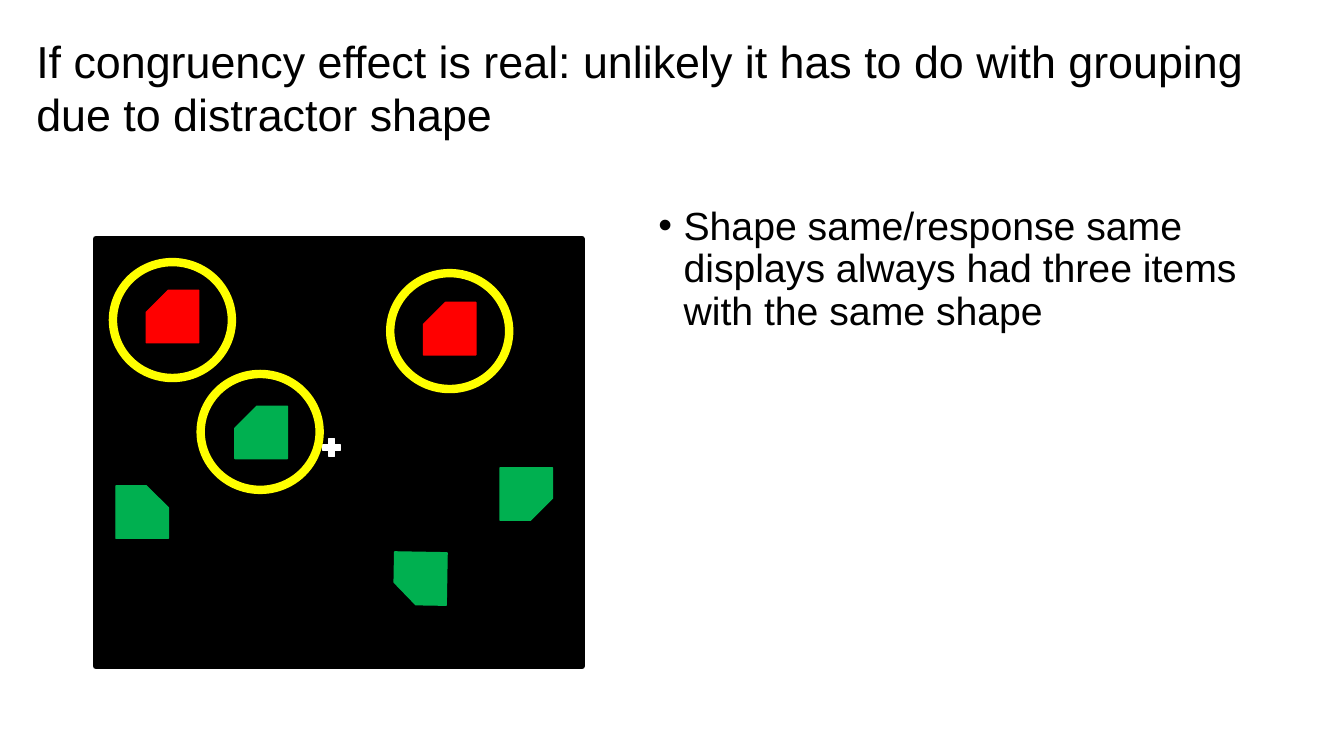
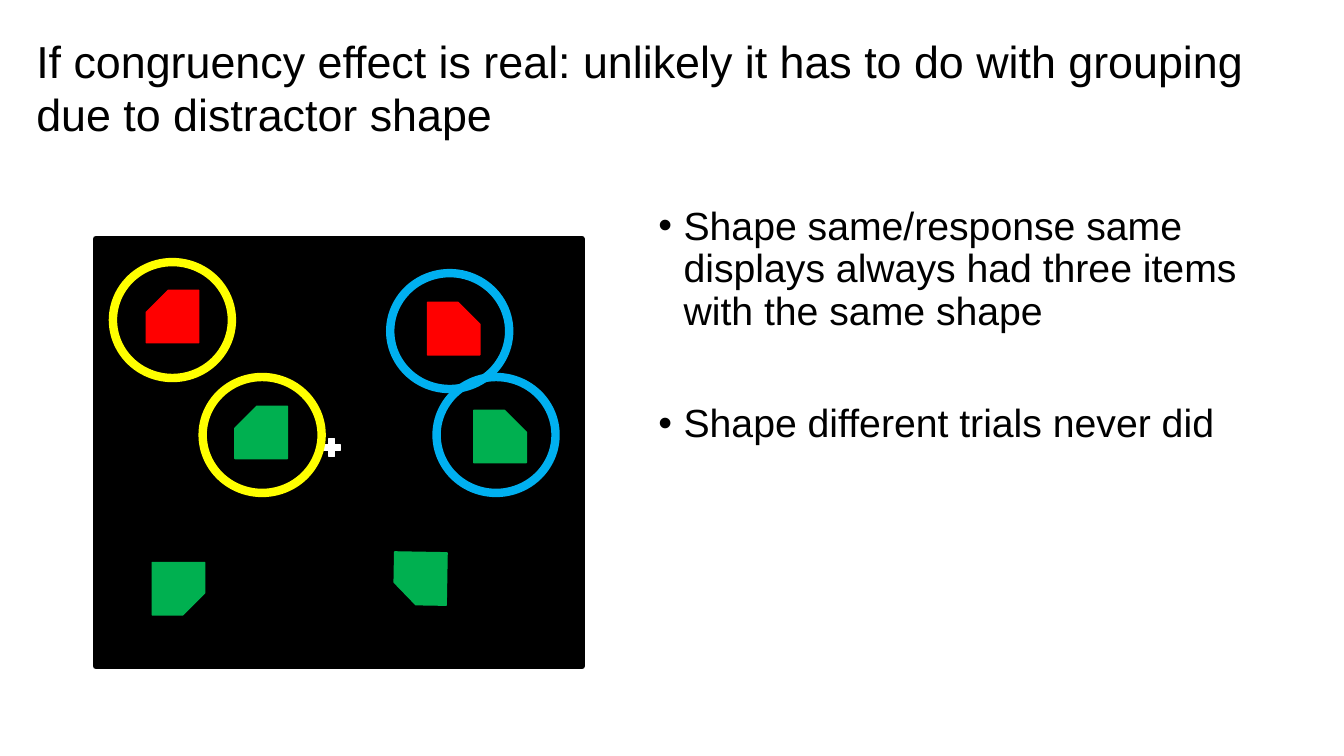
import pptx
import pptx.dml.color
import pptx.enum.shapes
import pptx.enum.text
import pptx.oxml.ns
import pptx.util
from lxml import etree

PX = 9144  # EMU per px, 100 px to the inch
FONT = "Arial"
BLACK, WHITE, RED, GREEN = "000000", "FFFFFF", "FF0000", "00B050"
YELLOW, BLUE = "FFFF00", "00B0F0"
PRESET = pptx.enum.shapes.MSO_SHAPE

TITLE_BOX = (26, 28, 1260, 118)
BODY_BOX = (643, 200, 599, 476)
DISPLAY_BOX = (95, 237, 482, 424)
ITEM_SIZE, CUT_RATIO = 52, 0.42
RING_WIDTH, RING_HEIGHT = 118, 115

# Rotation that brings the cut corner to its place
TOP_LEFT, TOP_RIGHT, BOTTOM_RIGHT, BOTTOM_LEFT = 270, 0, 90, 181

TITLE = ("If congruency effect is real: unlikely it has to do with grouping "
         "due to distractor shape")
SAME_POINT = ("Shape same/response same displays always had three items "
              "with the same shape")
DIFFERENT_POINT = "Shape different trials never did"

# Each item: left, top (within the display), colour, cut corner
SHARED_ITEMS = [(50, 51, RED, TOP_LEFT), (138, 166, GREEN, TOP_LEFT),
                (296, 311, GREEN, BOTTOM_LEFT)]
SAME_ITEMS = SHARED_ITEMS + [(20, 245, GREEN, TOP_RIGHT),
                             (401, 227, GREEN, BOTTOM_RIGHT),
                             (325, 63, RED, TOP_LEFT)]
DIFFERENT_ITEMS = SHARED_ITEMS + [(375, 170, GREEN, TOP_RIGHT),
                                  (56, 321, GREEN, BOTTOM_RIGHT),
                                  (329, 63, RED, TOP_RIGHT)]

# Each ring: left, top (within the display), colour
SAME_RINGS = [(17, 23, YELLOW), (292, 34, YELLOW), (104, 134, YELLOW)]
DIFFERENT_RINGS = [(17, 23, YELLOW), (292, 34, BLUE),
                   (106, 137, YELLOW), (338, 137, BLUE)]


def rgb(color):
    return pptx.dml.color.RGBColor.from_string(color)


def emu(box):
    return [pptx.util.Emu(length * PX) for length in box]


def add_figure(slide, preset, box, fill, line, weight=1):
    figure = slide.shapes.add_shape(preset, *emu(box))
    figure.shadow.inherit = False
    if fill:
        figure.fill.solid()
        figure.fill.fore_color.rgb = rgb(fill)
    else:
        figure.fill.background()
    figure.line.color.rgb = rgb(line)
    figure.line.width = pptx.util.Pt(weight)
    return figure


def prepare_placeholder(placeholder, box):
    placeholder.left, placeholder.top, placeholder.width, placeholder.height = emu(box)
    frame = placeholder.text_frame
    frame.word_wrap = True
    frame.auto_size = pptx.enum.text.MSO_AUTO_SIZE.NONE
    frame.vertical_anchor = pptx.enum.text.MSO_ANCHOR.TOP
    return frame


def write(paragraph, text, size, line_spacing, space_before=0):
    paragraph.alignment = pptx.enum.text.PP_ALIGN.LEFT
    paragraph.line_spacing = line_spacing
    paragraph.space_before = pptx.util.Pt(space_before)
    run = paragraph.add_run()
    run.text = text
    run.font.name = FONT
    run.font.size = pptx.util.Pt(size)
    run.font.color.rgb = rgb(BLACK)


def add_bullet(paragraph, indent=25):
    properties = paragraph._p.get_or_add_pPr()
    properties.set("marL", str(indent * PX))
    properties.set("indent", str(-indent * PX))
    for tag, key, value in (("a:buFont", "typeface", FONT), ("a:buChar", "char", "•")):
        etree.SubElement(properties, pptx.oxml.ns.qn(tag)).set(key, value)


def fill_title(slide, box):
    frame = prepare_placeholder(slide.shapes.title, box)
    write(frame.paragraphs[0], TITLE, 32, 1.0)


def fill_points(slide, box, points):
    frame = prepare_placeholder(slide.placeholders[1], box)
    for index, point in enumerate(points):
        paragraph = frame.add_paragraph() if index else frame.paragraphs[0]
        add_bullet(paragraph)
        write(paragraph, point, 28, 0.9, 50 if index else 0)


def draw_display(slide, box, items, rings):
    left, top, width, height = box
    add_figure(slide, PRESET.RECTANGLE, box, BLACK, BLACK, 4.5)

    # Fixation cross
    cross = add_figure(slide, PRESET.CROSS, (left + 225, top + 198, 18, 18), WHITE, WHITE)
    cross.adjustments[0] = 0.36

    # Search items, each a square with one corner cut
    for x, y, color, cut_corner in items:
        item = add_figure(slide, PRESET.SNIP_1_RECTANGLE,
                          (left + x, top + y, ITEM_SIZE, ITEM_SIZE), color, color)
        item.adjustments[0] = CUT_RATIO
        item.rotation = cut_corner

    # Rings around items of equal shape
    for x, y, color in rings:
        add_figure(slide, PRESET.OVAL,
                   (left + x, top + y, RING_WIDTH, RING_HEIGHT), None, color, 6)


def add_display_slide(deck, points, items, rings):
    slide = deck.slides.add_slide(deck.slide_layouts[1])
    fill_title(slide, TITLE_BOX)
    fill_points(slide, BODY_BOX, points)
    draw_display(slide, DISPLAY_BOX, items, rings)


def main():
    deck = pptx.Presentation()
    deck.slide_width, deck.slide_height = emu((1333, 750))
    add_display_slide(deck, [SAME_POINT], SAME_ITEMS, SAME_RINGS)
    add_display_slide(deck, [SAME_POINT, DIFFERENT_POINT], DIFFERENT_ITEMS, DIFFERENT_RINGS)
    deck.save("out.pptx")


if __name__ == "__main__":
    main()
